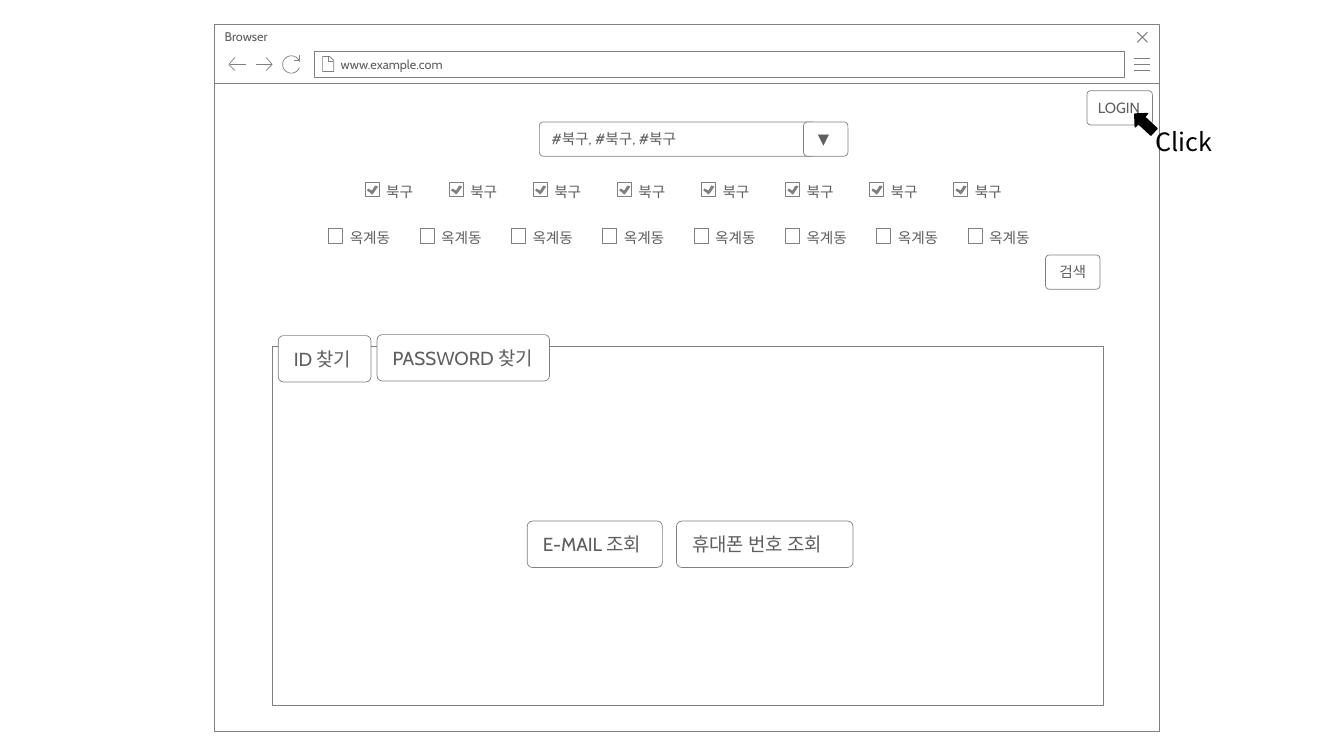
import math
from pptx import Presentation
from pptx import util as u
from pptx.dml import color
from pptx.enum import shapes, text

COLS, ROWS = 1333, 750
CELL = u.Inches(0.01)
HUES = {"paper": "FFFFFF", "edge": "808080", "ink": "5F5F5F", "mark": "000000"}
KINDS = shapes.MSO_SHAPE
MID = text.MSO_ANCHOR.MIDDLE
TOP = text.MSO_ANCHOR.TOP
LEFT = text.PP_ALIGN.LEFT
SIDES = ("margin_left", "margin_top", "margin_right", "margin_bottom")


def hue(name):
    return color.RGBColor.from_string(HUES[name])


def apply(item, form):
    for key, value in form.items():
        setattr(item, key, value)


def span(cells):
    return [u.Emu(round(n * CELL)) for n in cells]


def paint(shape, fill="paper", edge="edge", width=0.5):
    shape.shadow.inherit = False
    if fill:
        shape.fill.solid()
        shape.fill.fore_color.rgb = hue(fill)
    else:
        shape.fill.background()
    if edge:
        shape.line.color.rgb = hue(edge)
        shape.line.width = u.Pt(width)
    else:
        shape.line.fill.background()


def write(shape, words, size, pad, anchor=MID, wrap=True, font="Cabin", ink="ink", para=None):
    frame = shape.text_frame
    apply(frame, dict(zip(SIDES, span(pad))))
    apply(frame, {"word_wrap": wrap, "vertical_anchor": anchor})
    line = frame.paragraphs[0]
    apply(line, {"alignment": LEFT, **(para or {})})
    run = line.add_run()
    run.text = words
    apply(run.font, {"size": u.Pt(size), "name": font})
    run.font.color.rgb = hue(ink)


def box(slide, place, kind=KINDS.RECTANGLE, **look):
    shape = slide.shapes.add_shape(kind, *span(place))
    paint(shape, **look)
    return shape


def label(slide, place, words, size, pad, **form):
    shape = slide.shapes.add_textbox(*span(place))
    write(shape, words, size, pad, **form)


def button(slide, place, words, size, pad, **form):
    shape = box(slide, place, KINDS.ROUNDED_RECTANGLE)
    shape.adjustments[0] = 0.11
    write(shape, words, size, pad, **form)


def draw(slide, paths, close=False, **look):
    fine = [[(x * 10, y * 10) for x, y in path] for path in paths]
    pen = slide.shapes.build_freeform(*fine[0][0], scale=CELL / 10)
    for path in fine:
        pen.move_to(*path[0])
        pen.add_line_segments(path[1:], close=close)
    paint(pen.convert_to_shape(), **look)


def check(slide, x, y, words, wide, ticked):
    box(slide, (x, y, 14, 14))
    if ticked:
        tick = [(10, 3), (7, 8), (3, 6), (2, 8), (5, 10), (7, 12), (9, 10), (13, 4)]
        draw(slide, [[(x + a, y + b) for a, b in tick]], True, fill="edge", edge=None)
    label(slide, (x + 21, y - 3, wide, 20), words, 10.5, (0, 0, 0, 0), anchor=MID,
          wrap=False, para={"line_spacing": 1.25, "space_after": u.Pt(5)})


def icons(slide):
    arc = [(289 + 8.6 * math.cos(math.radians(a)), 64 + 8.6 * math.sin(math.radians(a)))
           for a in range(20, 341, 10)]
    glyphs = [
        ([[(1125, y), (1141, y)] for y in (58, 64, 70)], 0.5),
        ([[(1138, 32), (1128, 42)], [(1128, 32), (1138, 42)]], 0.75),
        ([[(326, 57), (326, 61), (330, 61)],
          [(320, 56), (320, 71), (331, 71), (331, 60), (327, 56), (320, 56)]], 0.5),
        ([[(233, 70), (227, 64), (233, 57)], [(228, 64), (244, 64)]], 0.5),
        ([[(264, 57), (270, 64), (264, 70)], [(270, 64), (254, 64)]], 0.5),
        ([[(297, 55), (297, 60), (292, 60)], arc], 0.5),
    ]
    for paths, width in glyphs:
        draw(slide, paths, fill=None, width=width)


def browser(slide):
    box(slide, (213, 82, 937, 644))
    bar = box(slide, (213, 24, 937, 59))
    write(bar, "Browser", 9, (10, 5, 25, 5), anchor=TOP)
    url = box(slide, (312, 51, 803, 26))
    write(url, "www.example.com", 9, (26, 5, 10, 5))
    icons(slide)


def search(slide):
    rows = [(362, 83.4, 181, "북구", 29, True), (326, 90.6, 227, "옥계동", 44, False)]
    for x, step, y, words, wide, ticked in rows:
        for n in range(8):
            check(slide, x + n * step, y, words, wide, ticked)
    pad = (10, 7, 10, 7)
    button(slide, (535, 121, 274, 34), "#북구, #북구, #북구", 10.5, (11, 7, 11, 7))
    button(slide, (797, 121, 44, 34), " ▼", 10.5, pad)
    button(slide, (1037, 253, 54, 34), "검색", 10.5, pad,
           para={"alignment": text.PP_ALIGN.CENTER})
    button(slide, (1078, 90, 65, 34), "LOGIN", 10.5, pad, wrap=False)


def click(slide):
    arrow = box(slide, (1126, 109, 18, 26), KINDS.DOWN_ARROW, fill="mark", edge="mark", width=1)
    arrow.rotation = 132.9
    label(slide, (1136, 120, 119, 71), "Click", 18, (10, 5, 10, 5), anchor=TOP,
          font="Noto Sans CJK KR", ink="mark")


def finder(slide):
    box(slide, (270, 344, 824, 356))
    items = [
        (276, 333, 92, "ID 찾기", False),
        (374, 332, 171, "PASSWORD 찾기", True),
        (523, 517, 134, "E-MAIL 조회", False),
        (671, 517, 175, "휴대폰 번호 조회", True),
    ]
    for x, y, wide, words, wrap in items:
        button(slide, (x, y, wide, 46), words, 13.5, (14, 10, 14, 10), wrap=wrap)


def main():
    deck = Presentation()
    apply(deck, {"slide_width": COLS * CELL, "slide_height": ROWS * CELL})
    slide = deck.slides.add_slide(deck.slide_layouts[6])
    for part in (browser, search, click, finder):
        part(slide)
    deck.save("out.pptx")


if __name__ == "__main__":
    main()
